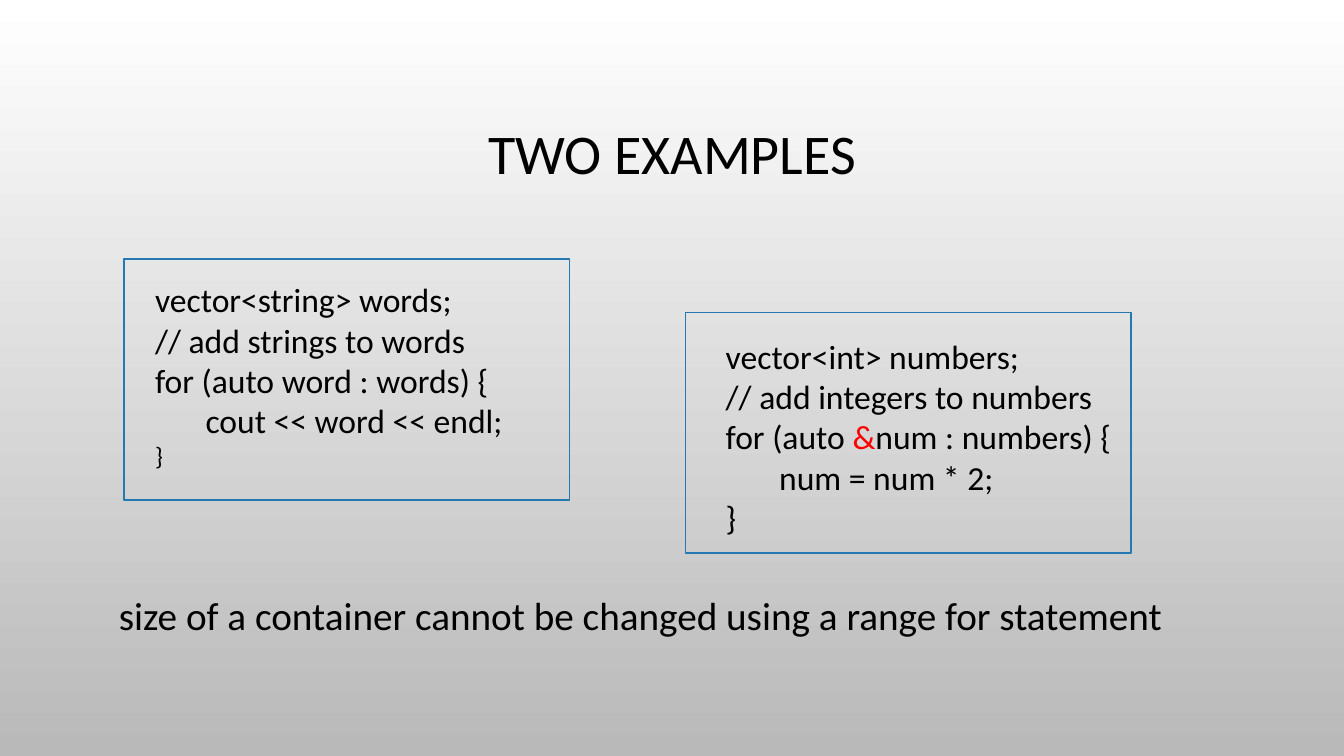
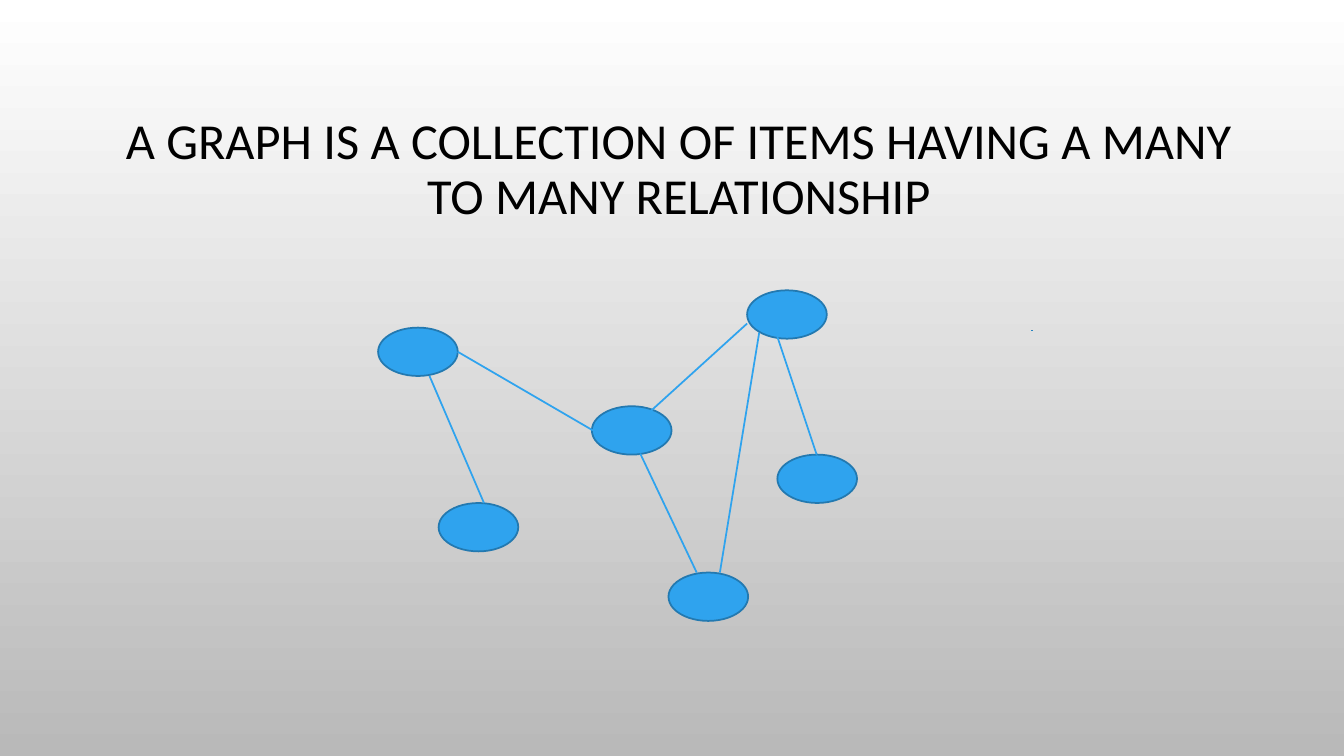
from dataclasses import dataclass
from typing import Any, NamedTuple

from lxml import etree
from pptx import Presentation
from pptx import util as u
from pptx.dml.color import RGBColor
from pptx.enum import shapes, text
from pptx.oxml import ns


@dataclass(frozen=True)
class Theme:
    font: str = "Calibri"
    ink: str = "000000"
    accent: str = "FF0000"
    node: str = "2FA3EE"
    outline: str = "2379B0"
    dash: str = "2683BF"
    background: tuple[str, str] = ("FFFFFF", "B9B9B9")
    title_size: int = 40
    long_title_size: int = 36
    note_size: int = 28
    code_size: int = 24
    small_code_size: int = 18
    line_width: float = 1.25
    thin_line_width: float = 0.75


THEME = Theme()


class Area(NamedTuple):
    left: float
    top: float
    width: float
    height: float


class Span(NamedTuple):
    words: str
    color: str = THEME.ink


@dataclass(frozen=True)
class Line:
    spans: tuple[Span, ...]
    size: int = THEME.code_size
    indent: float = 0


@dataclass(frozen=True)
class CodeBlock:
    frame: Area
    area: Area
    lines: tuple[Line, ...]


class Edge(NamedTuple):
    start: tuple[float, float]
    end: tuple[float, float]
    color: str = THEME.node
    width: float = THEME.line_width


TITLE = {"alignment": text.PP_ALIGN.CENTER, "line_spacing": 0.9}
NODE_SIZE = (0.79, 0.48)
FRAME_SIZE = (4.42, 2.39)

CODE_BLOCKS = (
    CodeBlock(
        Area(1.23, 2.57, *FRAME_SIZE),
        Area(1.44, 2.72, 6.67, 2.02),
        (
            Line((Span("vector<string> words;"),)),
            Line((Span("// add strings to words"),)),
            Line((Span("for (auto word : words) {"),)),
            Line((Span("cout << word << endl;"),), indent=0.5),
            Line((Span("}"),), THEME.small_code_size),
        ),
    ),
    CodeBlock(
        Area(6.8, 3.1, *FRAME_SIZE),
        Area(7.1, 3.28, 6.67, 2.12),
        (
            Line((Span("vector<int> numbers;"),)),
            Line((Span("// add integers to numbers"),)),
            Line((Span("for (auto "), Span("&", THEME.accent), Span("num : numbers) {"))),
            Line((Span("num = num * 2;"),), indent=0.53),
            Line((Span("}"),)),
        ),
    ),
)

NODES = ((3.75, 3.25), (4.35, 4.99), (5.87, 4.03), (6.63, 5.68), (7.71, 4.51), (7.41, 2.88))

EDGES = (
    Edge((4.54, 3.49), (5.88, 4.27)),
    Edge((10.23, 3.28), (10.25, 3.28), THEME.dash, THEME.thin_line_width),
    Edge((6.35, 4.5), (6.91, 5.68)),
    Edge((7.71, 3.34), (8.1, 4.51)),
    Edge((4.26, 3.73), (4.8, 4.99)),
    Edge((7.53, 3.3), (7.14, 5.68)),
    Edge((6.43, 4.1), (7.41, 3.21)),
)


def apply_format(target: Any, values: dict[str, Any]) -> None:
    for name, value in values.items():
        setattr(target, name, value)


def set_line(line: Any, color: str, width: float) -> None:
    line.color.rgb = RGBColor.from_string(color)
    line.width = u.Pt(width)


def add_text(page: Any, area: Area, lines: tuple[Line, ...], frame_format: dict[str, Any],
             para_format: dict[str, Any]) -> None:
    frame = page.shapes.add_textbox(*map(u.Inches, area)).text_frame
    apply_format(frame, frame_format)
    for index, line in enumerate(lines):
        para = frame.add_paragraph() if index else frame.paragraphs[0]
        apply_format(para, para_format)
        if line.indent:
            para._p.get_or_add_pPr().set("marL", str(u.Inches(line.indent)))
        for span in line.spans:
            run = para.add_run()
            run.text = span.words
            apply_format(run.font, {"name": THEME.font, "size": u.Pt(line.size)})
            run.font.color.rgb = RGBColor.from_string(span.color)


def add_title(page: Any, words: str, left: float, top: float, size: int) -> None:
    add_text(page, Area(left, top, 11.33, 1.75), (Line((Span(words),), size),),
             {"word_wrap": True, "vertical_anchor": text.MSO_ANCHOR.MIDDLE}, TITLE)


def add_outlined(page: Any, kind: Any, area: Area, fill: str | None = None) -> None:
    """Draw an outlined shape, hollow unless a fill is given."""
    shape = page.shapes.add_shape(kind, *map(u.Inches, area))
    shape.shadow.inherit = False
    if fill:
        shape.fill.solid()
        shape.fill.fore_color.rgb = RGBColor.from_string(fill)
    else:
        shape.fill.background()
    set_line(shape.line, THEME.outline, THEME.line_width)


def add_edge(page: Any, edge: Edge) -> None:
    connector = page.shapes.add_connector(
        shapes.MSO_CONNECTOR.STRAIGHT, *map(u.Inches, edge.start + edge.end))
    set_line(connector.line, edge.color, edge.width)
    etree.SubElement(connector._element.spPr, ns.qn("a:effectLst"))


def set_background(master: Any) -> None:
    fill = master.background.fill
    fill.gradient()
    fill.gradient_angle = 270
    for stop, color in zip(fill.gradient_stops, THEME.background):
        stop.color.rgb = RGBColor.from_string(color)


def build_examples(page: Any) -> None:
    add_title(page, "TWO EXAMPLES", 1, 0.68, THEME.title_size)
    for block in CODE_BLOCKS:
        add_text(page, block.area, block.lines, {"word_wrap": True}, {})
        add_outlined(page, shapes.MSO_SHAPE.RECTANGLE, block.frame)
    note = Span("size of a container cannot be changed using a range for statement")
    add_text(page, Area(1.08, 5.82, 10.61, 0.57), (Line((note,), THEME.note_size),),
             {"word_wrap": False}, {})


def build_graph(page: Any) -> None:
    for node in NODES:
        add_outlined(page, shapes.MSO_SHAPE.OVAL, Area(*node, *NODE_SIZE), THEME.node)
    for edge in EDGES:
        add_edge(page, edge)
    add_title(page, "A GRAPH IS A COLLECTION OF ITEMS HAVING A MANY TO MANY RELATIONSHIP",
              1.07, 0.82, THEME.long_title_size)


def main() -> None:
    deck = Presentation()
    apply_format(deck, {"slide_width": u.Inches(13.33), "slide_height": u.Inches(7.5)})
    set_background(deck.slide_master)
    for build in (build_examples, build_graph):
        build(deck.slides.add_slide(deck.slide_layouts[6]))
    deck.save("out.pptx")


if __name__ == "__main__":
    main()
